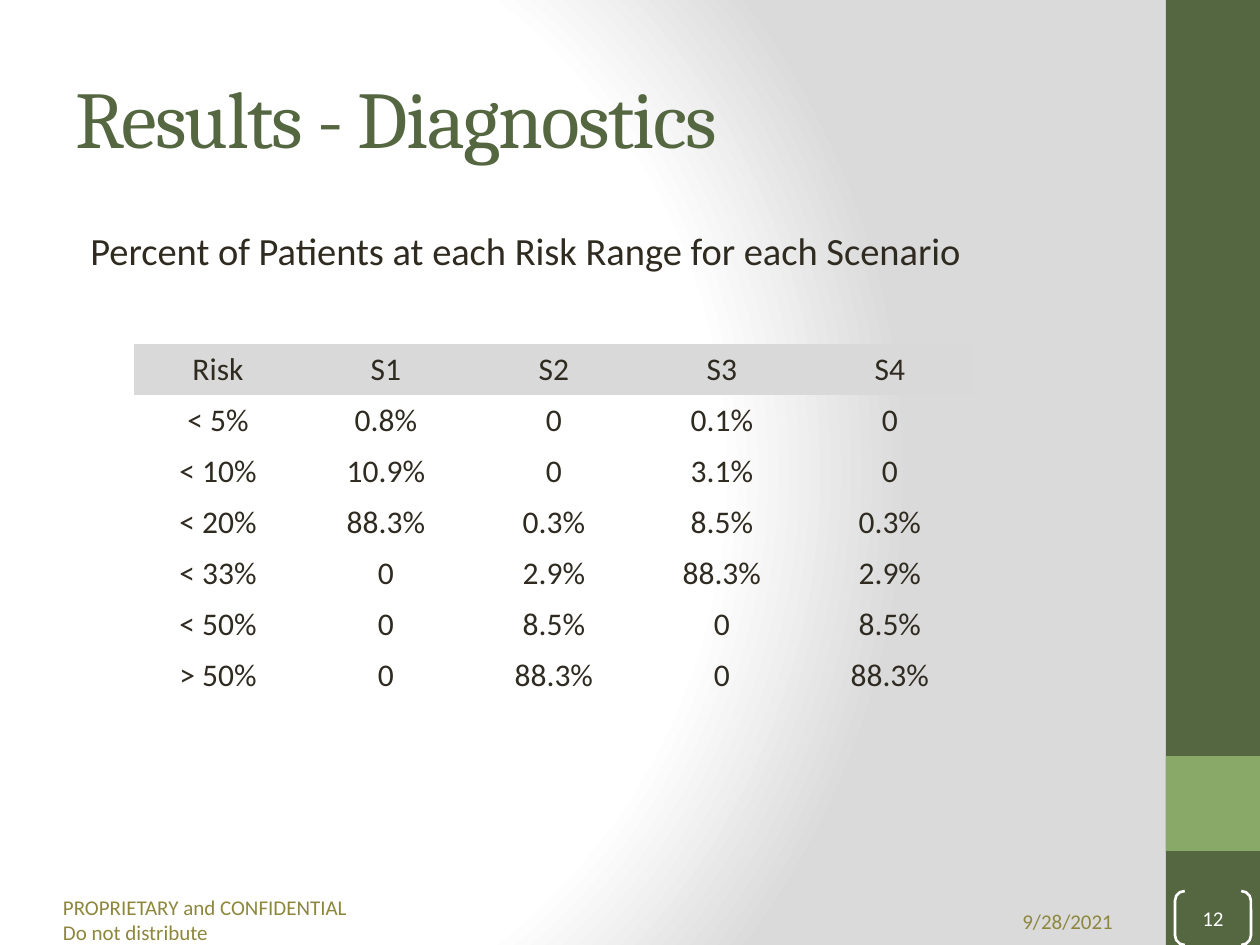
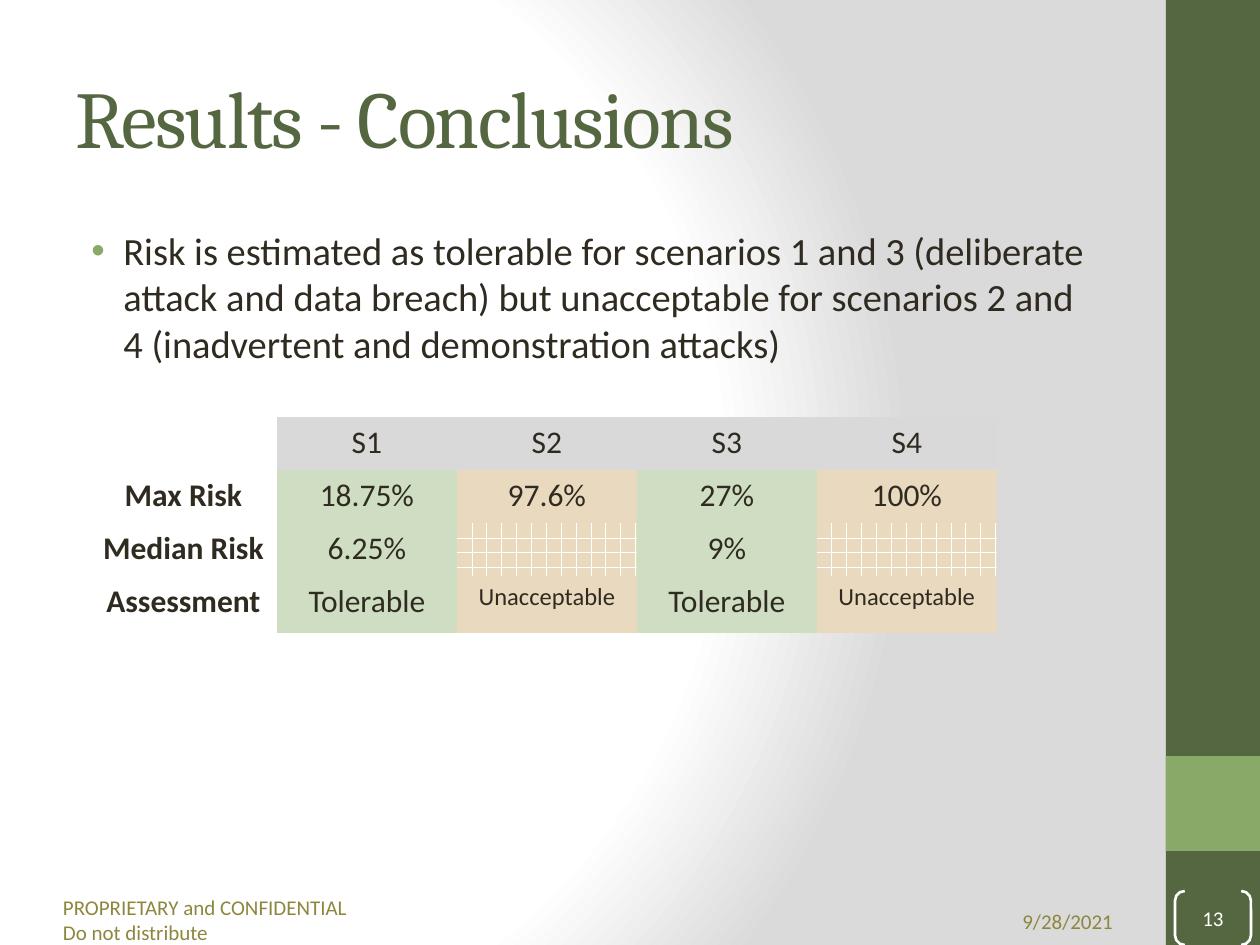
from dataclasses import dataclass, field
from typing import Optional

from pptx import Presentation
from pptx.dml.color import RGBColor
from pptx.enum.dml import MSO_PATTERN
from pptx.enum.shapes import MSO_SHAPE
from pptx.enum.text import MSO_ANCHOR, PP_ALIGN
from pptx.oxml import parse_xml
from pptx.oxml.ns import nsdecls, qn
from pptx.util import Emu, Pt

# Colours and fonts
DARK_GREEN = RGBColor(0x55, 0x67, 0x41)
LIGHT_GREEN = RGBColor(0x88, 0xA9, 0x68)
OLIVE = RGBColor(0x8D, 0x87, 0x3E)
INK = RGBColor(0x2F, 0x2B, 0x20)
WHITE = RGBColor(0xFF, 0xFF, 0xFF)
EDGE_GREY = RGBColor(0xDA, 0xDA, 0xDA)
HEADER_GREY = RGBColor(0xD9, 0xD9, 0xD9)
PALE_GREEN = RGBColor(0xCF, 0xDD, 0xC3)
PALE_ORANGE = RGBColor(0xE9, 0xD9, 0xBE)
HEADING_FONT, BODY_FONT = "Cambria", "Calibri"

PIXELS_PER_INCH = 126
NO_STYLE_NO_GRID = "{2D5ABB26-0587-4C30-8999-92F81FD0307C}"


def px(pixels: int) -> Emu:
    return Emu(round(pixels * 914400 / PIXELS_PER_INCH))


@dataclass(frozen=True)
class Box:
    left: int
    top: int
    width: int
    height: int

    def emu(self) -> tuple:
        return px(self.left), px(self.top), px(self.width), px(self.height)


@dataclass(frozen=True)
class TextStyle:
    size: float
    color: RGBColor
    font: str = BODY_FONT
    align: PP_ALIGN = PP_ALIGN.LEFT
    bold: bool = False
    spacing: int = 0  # hundredths of a point


@dataclass(frozen=True)
class RiskTable:
    left: int
    top: int
    columns: list[int]
    rows: list[int]
    cells: list[list[str]]
    tints: dict[int, RGBColor] = field(default_factory=dict)  # by column, below the header


@dataclass(frozen=True)
class ResultSlide:
    title: str
    message: str
    bulleted: bool
    number: int
    table: RiskTable


TITLE = TextStyle(46, DARK_GREEN, HEADING_FONT, spacing=-100)
MESSAGE = TextStyle(22, INK)
FOOTER = TextStyle(12, OLIVE)
DATE = TextStyle(12, OLIVE, align=PP_ALIGN.RIGHT)
PAGE_NUMBER = TextStyle(12, WHITE, align=PP_ALIGN.CENTER)
CELL = TextStyle(18, INK, align=PP_ALIGN.CENTER)
ROW_LABEL = TextStyle(18, INK, align=PP_ALIGN.CENTER, bold=True)
LONG_VERDICT = TextStyle(14, INK, align=PP_ALIGN.CENTER)


def write(text_frame, text: str, style: TextStyle) -> None:
    text_frame.text = text
    for paragraph in text_frame.paragraphs:
        paragraph.alignment = style.align
        for run in paragraph.runs:
            run.font.size = Pt(style.size)
            run.font.name = style.font
            run.font.bold = style.bold
            run.font.color.rgb = style.color
            if style.spacing:
                run._r.get_or_add_rPr().set("spc", str(style.spacing))


def trim(text_frame) -> None:
    """Remove the insets and centre the text vertically."""
    text_frame.margin_left = text_frame.margin_right = 0
    text_frame.margin_top = text_frame.margin_bottom = 0
    text_frame.vertical_anchor = MSO_ANCHOR.MIDDLE


def add_text(slide, box: Box, text: str, style: TextStyle):
    text_frame = slide.shapes.add_textbox(*box.emu()).text_frame
    text_frame.word_wrap = True
    write(text_frame, text, style)
    return text_frame


def add_shape(slide, kind: MSO_SHAPE, box: Box, fill: Optional[RGBColor] = None):
    shape = slide.shapes.add_shape(kind, *box.emu())
    shape.shadow.inherit = False
    shape.line.fill.background()
    if fill is None:
        shape.fill.background()
    else:
        shape.fill.solid()
        shape.fill.fore_color.rgb = fill
    return shape


def set_indent(paragraph, margin: int, first_line: int, bulleted: bool) -> None:
    properties = paragraph._p.get_or_add_pPr()
    properties.set("marL", str(px(margin)))
    properties.set("indent", str(px(first_line)))
    if bulleted:
        for markup in (
            f'<a:buClr {nsdecls("a")}><a:srgbClr val="{LIGHT_GREEN}"/></a:buClr>',
            f'<a:buFont {nsdecls("a")} typeface="Arial"/>',
            f'<a:buChar {nsdecls("a")} char="•"/>',
        ):
            properties.append(parse_xml(markup))


def set_background(master) -> None:
    """Circular gradient from white to grey, shared by all slides."""
    master.background.fill.gradient()
    gradient = master.element.find(".//" + qn("p:bgPr") + "/" + qn("a:gradFill"))
    stops = "".join(
        f'<a:gs pos="{position * 1000}"><a:srgbClr val="{color}"/></a:gs>'
        for position, color in ((0, WHITE), (75, WHITE), (100, EDGE_GREY))
    )
    gradient.getparent().replace(gradient, parse_xml(
        f'<a:gradFill {nsdecls("a")} rotWithShape="1"><a:gsLst>{stops}</a:gsLst>'
        '<a:path path="circle">'
        '<a:fillToRect l="20000" t="50000" r="100000" b="50000"/>'
        "</a:path></a:gradFill>"
    ))


def add_frame(slide, number: int) -> None:
    """Side band, footer, date and page number."""
    add_shape(slide, MSO_SHAPE.RECTANGLE, Box(1166, 0, 94, 945), DARK_GREEN)
    add_shape(slide, MSO_SHAPE.RECTANGLE, Box(1166, 756, 94, 95), LIGHT_GREEN)
    footer = "PROPRIETARY and CONFIDENTIAL\nDo not distribute"
    trim(add_text(slide, Box(63, 895, 330, 50), footer, FOOTER))
    trim(add_text(slide, Box(940, 896, 173, 50), "9/28/2021", DATE))
    bracket = add_shape(slide, MSO_SHAPE.DOUBLE_BRACKET, Box(1175, 891, 76, 54))
    bracket.adjustments[0] = 0.18
    bracket.line.color.rgb = WHITE
    bracket.line.width = Pt(1.5)
    write(bracket.text_frame, str(number), PAGE_NUMBER)
    trim(bracket.text_frame)


def fill_cell(cell, text: str, is_header: bool, tint: Optional[RGBColor]) -> None:
    color = HEADER_GREY if is_header and text else None if is_header else tint
    if color is None:
        cell.fill.background()
    elif text:
        cell.fill.solid()
        cell.fill.fore_color.rgb = color
    else:  # no value applies
        cell.fill.patterned()
        cell.fill.pattern = MSO_PATTERN.HORIZONTAL_BRICK
        cell.fill.fore_color.rgb = WHITE
        cell.fill.back_color.rgb = color


def add_risk_table(slide, data: RiskTable) -> None:
    box = Box(data.left, data.top, sum(data.columns), sum(data.rows))
    table = slide.shapes.add_table(len(data.rows), len(data.columns), *box.emu()).table
    table.first_row = table.horz_banding = False
    table._tbl.tblPr.find(qn("a:tableStyleId")).text = NO_STYLE_NO_GRID
    for column, width in zip(table.columns, data.columns):
        column.width = px(width)
    for row_index, (height, texts) in enumerate(zip(data.rows, data.cells)):
        table.rows[row_index].height = px(height)
        for column_index, text in enumerate(texts):
            cell = table.cell(row_index, column_index)
            fill_cell(cell, text, row_index == 0, data.tints.get(column_index))
            style = CELL
            if data.tints and column_index == 0:
                style = ROW_LABEL
            elif text == "Unacceptable":
                style = LONG_VERDICT
            write(cell.text_frame, text, style)


def add_result_slide(presentation, content: ResultSlide) -> None:
    slide = presentation.slides.add_slide(presentation.slide_layouts[6])
    add_frame(slide, content.number)
    title = add_text(slide, Box(63, 38, 1050, 157), content.title, TITLE)
    title.vertical_anchor = MSO_ANCHOR.MIDDLE
    body = add_text(slide, Box(63, 221, 1050, 661), content.message, MESSAGE)
    margin, first_line = (48, -32) if content.bulleted else (15, 0)
    set_indent(body.paragraphs[0], margin, first_line, content.bulleted)
    add_risk_table(slide, content.table)


DIAGNOSTICS = RiskTable(
    left=134, top=344, columns=[168] * 5, rows=[51] * 7,
    cells=[
        ["Risk", "S1", "S2", "S3", "S4"],
        ["< 5%", "0.8%", "0", "0.1%", "0"],
        ["< 10%", "10.9%", "0", "3.1%", "0"],
        ["< 20%", "88.3%", "0.3%", "8.5%", "0.3%"],
        ["< 33%", "0", "2.9%", "88.3%", "2.9%"],
        ["< 50%", "0", "8.5%", "0", "8.5%"],
        ["> 50%", "0", "88.3%", "0", "88.3%"],
    ],
)
CONCLUSIONS = RiskTable(
    left=90, top=417, columns=[187] + [180] * 4, rows=[53, 53, 53, 57],
    cells=[
        ["", "S1", "S2", "S3", "S4"],
        ["Max Risk", "18.75%", "97.6%", "27%", "100%"],
        ["Median Risk", "6.25%", "", "9%", ""],
        ["Assessment", "Tolerable", "Unacceptable", "Tolerable", "Unacceptable"],
    ],
    tints={1: PALE_GREEN, 2: PALE_ORANGE, 3: PALE_GREEN, 4: PALE_ORANGE},
)
SLIDES = [
    ResultSlide(
        "Results - Diagnostics",
        "Percent of Patients at each Risk Range for each Scenario",
        False, 12, DIAGNOSTICS,
    ),
    ResultSlide(
        "Results - Conclusions",
        "Risk is estimated as tolerable for scenarios 1 and 3 (deliberate attack "
        "and data breach) but unacceptable for scenarios 2 and 4 (inadvertent and "
        "demonstration attacks)",
        True, 13, CONCLUSIONS,
    ),
]


def main() -> None:
    presentation = Presentation()
    presentation.slide_width, presentation.slide_height = px(1260), px(945)
    set_background(presentation.slide_master)
    for content in SLIDES:
        add_result_slide(presentation, content)
    presentation.save("out.pptx")


main()
